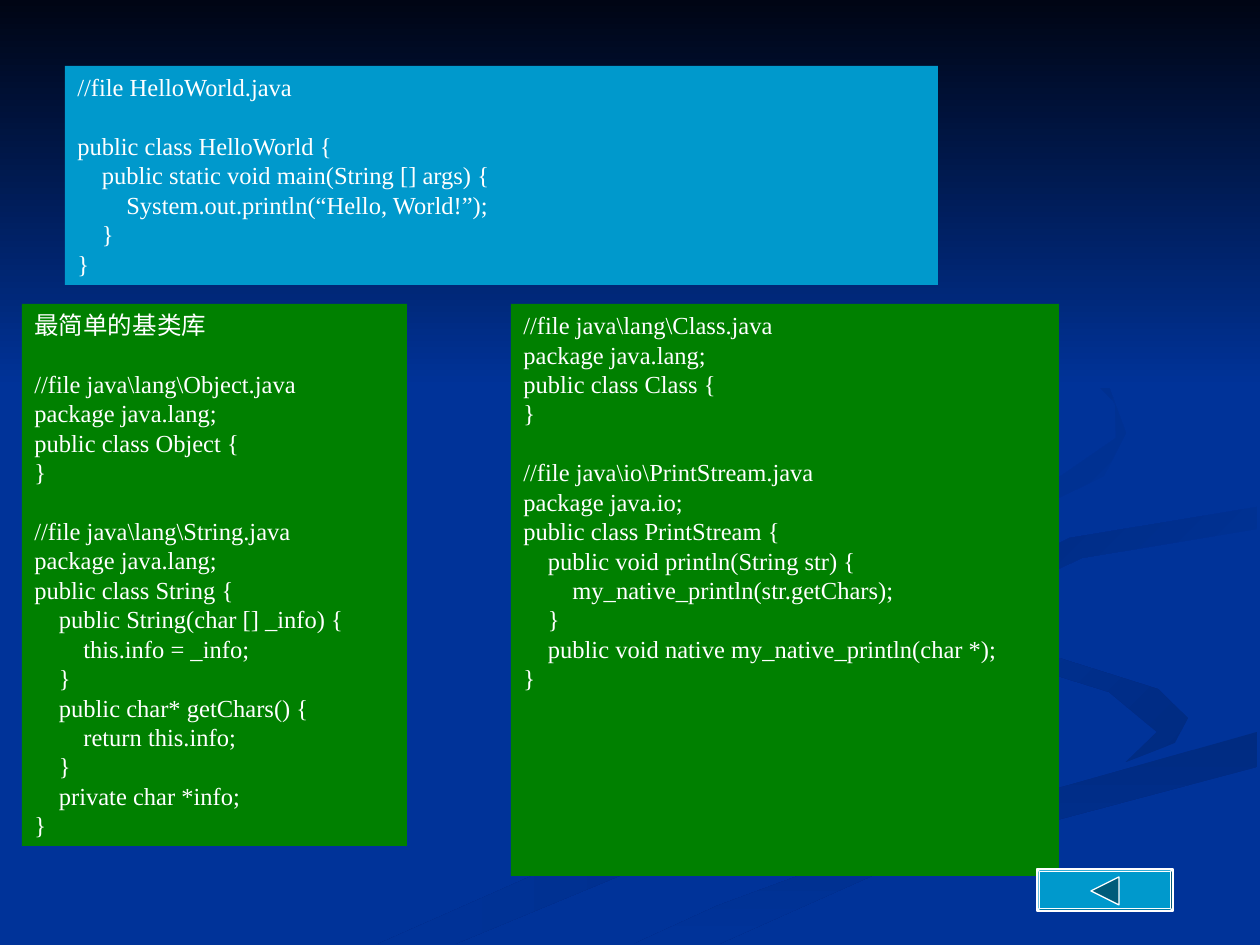
from pptx import Presentation
from pptx.dml.color import RGBColor
from pptx.enum.shapes import MSO_SHAPE
from pptx.enum.text import MSO_ANCHOR, PP_ALIGN
from pptx.util import Pt

RECTANGLE, BEVEL = MSO_SHAPE.RECTANGLE, MSO_SHAPE.BEVEL
TOP, LEFT = MSO_ANCHOR.TOP, PP_ALIGN.LEFT
PIXEL = 914400 // 126
WIDTH, HEIGHT = 1260, 945

THEME = {
    "font": "Times New Roman", "size": 14, "line": 16.8, "indent": 14,
    "text": "FFFFFF", "page": "003399", "night": "000514",
    "main": "0099CC", "library": "008000", "arrow": "005C7A",
    "shadow": "002B81",
}

# Code panels: each block of lines is set apart by one line; a tab is one level
PANELS = [
    {"box": (65, 66, 873, 219), "fill": "main", "wrap": True, "blocks": [
        ["//file HelloWorld.java"],
        ["public class HelloWorld {",
         "\tpublic static void main(String [] args) {",
         "\t\tSystem.out.println(“Hello, World!”);",
         "\t}",
         "}"],
    ]},
    {"box": (22, 304, 385, 542), "fill": "library", "wrap": False, "blocks": [
        ["最简单的基类库"],
        ["//file java\\lang\\Object.java",
         "package java.lang;",
         "public class Object {",
         "}"],
        ["//file java\\lang\\String.java",
         "package java.lang;",
         "public class String {",
         "\tpublic String(char [] _info) {",
         "\t\tthis.info = _info;",
         "\t}",
         "\tpublic char* getChars() {",
         "\t\treturn this.info;",
         "\t}",
         "\tprivate char *info;",
         "}"],
    ]},
    {"box": (511, 304, 548, 572), "fill": "library", "wrap": True, "blocks": [
        ["//file java\\lang\\Class.java",
         "package java.lang;",
         "public class Class {",
         "}"],
        ["//file java\\io\\PrintStream.java",
         "package java.io;",
         "public class PrintStream {",
         "\tpublic void println(String str) {",
         "\t\tmy_native_println(str.getChars);",
         "\t}",
         "\tpublic void native my_native_println(char *);",
         "}"],
    ]},
]

# Background ribbons: start colour, end colour, clockwise angle, outline
RIBBONS = [
    ("shadow", "page", 180, [
        (984, 697), (723, 585), (984, 701), (956, 743), (629, 833),
        (378, 944), (455, 944), (711, 838), (1004, 741)]),
    ("shadow", "page", 225, [
        (1188, 718), (1158, 689), (1046, 654), (912, 585), (984, 653),
        (1109, 692), (1157, 732), (1126, 762), (1175, 743)]),
    ("shadow", "page", 90, [
        (634, 944), (719, 944), (910, 859), (1257, 767),
        (1257, 732), (963, 815), (717, 906)]),
    ("page", "shadow", 225, [
        (984, 580), (1041, 625), (1019, 587), (1082, 558),
        (1257, 529), (1257, 507), (1070, 538)]),
    ("page", "shadow", 225, [
        (861, 542), (1040, 507), (1104, 476), (1126, 433), (1109, 387),
        (1062, 347), (960, 294), (1066, 352), (1115, 403), (1116, 438),
        (1061, 476), (788, 537), (727, 582), (784, 630), (764, 569)]),
]
SKY = (0, 0, WIDTH, 388)
BUTTON = (1037, 869, 136, 42)
ARROW = [(1091, 891), (1119, 877), (1119, 905)]


def color(name):
    return RGBColor.from_string(THEME[name])


def paint(shape, fill, line=None):
    shape.shadow.inherit = False
    shape.fill.solid()
    shape.fill.fore_color.rgb = color(fill)
    if line:
        shape.line.color.rgb = color(line)
        shape.line.width = Pt(0.75)
    else:
        shape.line.fill.background()


def shade(shape, start, end, angle):
    paint(shape, start)
    shape.fill.gradient()
    shape.fill.gradient_angle = 360 - angle
    for stop, name, position in zip(shape.fill.gradient_stops, (start, end), (0, 1)):
        stop.color.rgb = color(name)
        stop.position = position


def add_box(page, kind, box):
    return page.shapes.add_shape(kind, *(length * PIXEL for length in box))


def add_outline(page, points):
    builder = page.shapes.build_freeform(*points[0], scale=PIXEL)
    builder.add_line_segments(points[1:], close=True)
    return builder.convert_to_shape()


def add_panel(page, panel):
    box = add_box(page, RECTANGLE, panel["box"])
    paint(box, panel["fill"])
    frame = box.text_frame
    frame.word_wrap = panel["wrap"]
    frame.vertical_anchor = TOP
    rows = [(line, number > 0 and index == 0)
            for number, block in enumerate(panel["blocks"])
            for index, line in enumerate(block)]
    frame.text = "\n".join(line.lstrip("\t") for line, _ in rows)
    for para, (line, gap) in zip(frame.paragraphs, rows):
        para.alignment = LEFT
        para.line_spacing = Pt(THEME["line"])
        para.space_before = Pt(THEME["line"] if gap else 0)
        properties = para._p.get_or_add_pPr()
        properties.set("marL", str(Pt(THEME["indent"] * line.count("\t"))))
        properties.set("indent", "0")
        for span in para.runs:
            span.font.name = THEME["font"]
            span.font.size = Pt(THEME["size"])
            span.font.color.rgb = color("text")


deck = Presentation()
deck.slide_width, deck.slide_height = WIDTH * PIXEL, HEIGHT * PIXEL
page = deck.slides.add_slide(deck.slide_layouts[6])

# Background
page.background.fill.solid()
page.background.fill.fore_color.rgb = color("page")
for start, end, angle, points in RIBBONS:
    shade(add_outline(page, points), start, end, angle)
shade(add_box(page, RECTANGLE, SKY), "night", "page", 90)

# Code panels
for panel in PANELS:
    add_panel(page, panel)

# Back button
button = add_box(page, BEVEL, BUTTON)
button.adjustments[0] = 0.06
paint(button, "main", "text")
paint(add_outline(page, ARROW), "arrow", "text")

deck.save("out.pptx")
